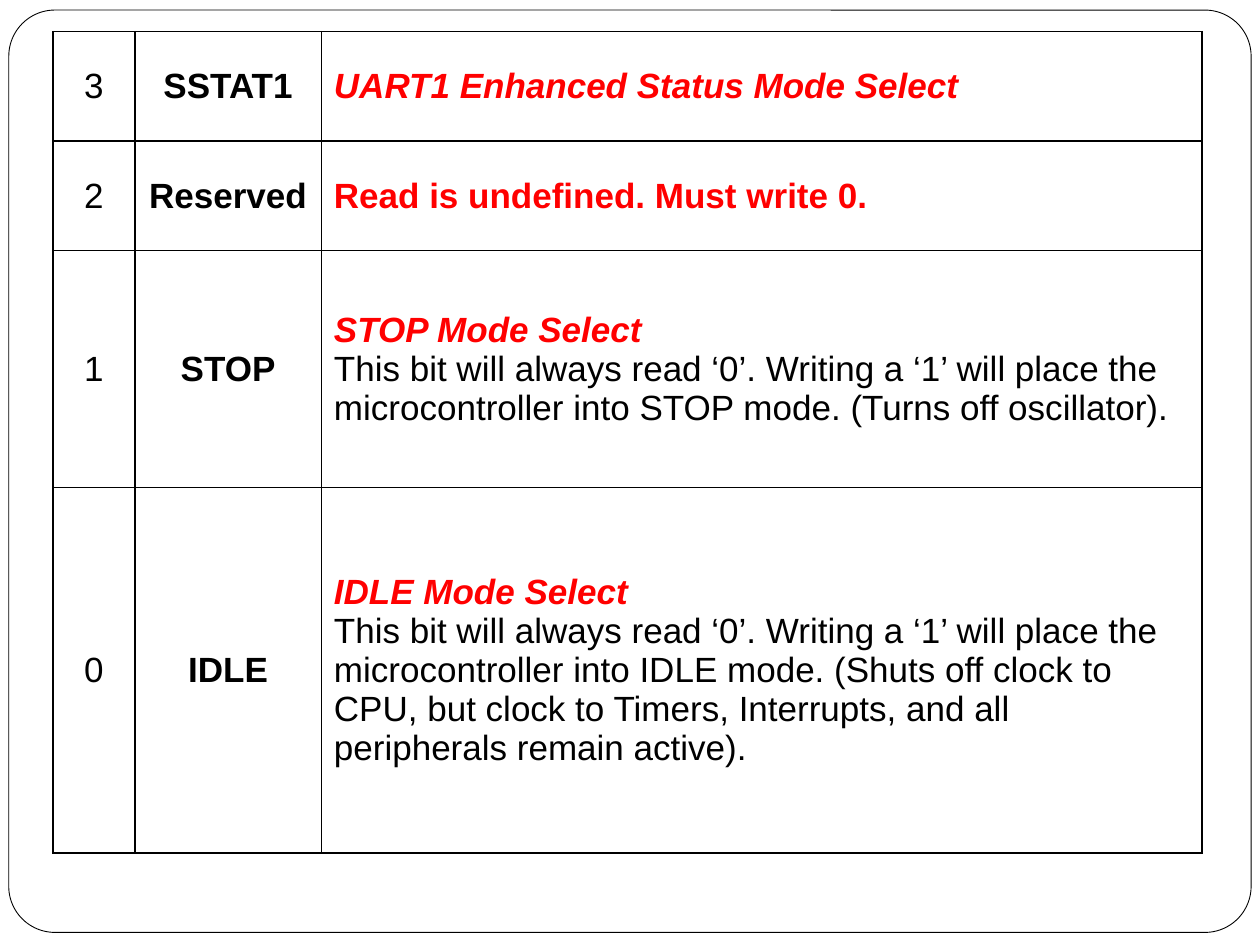
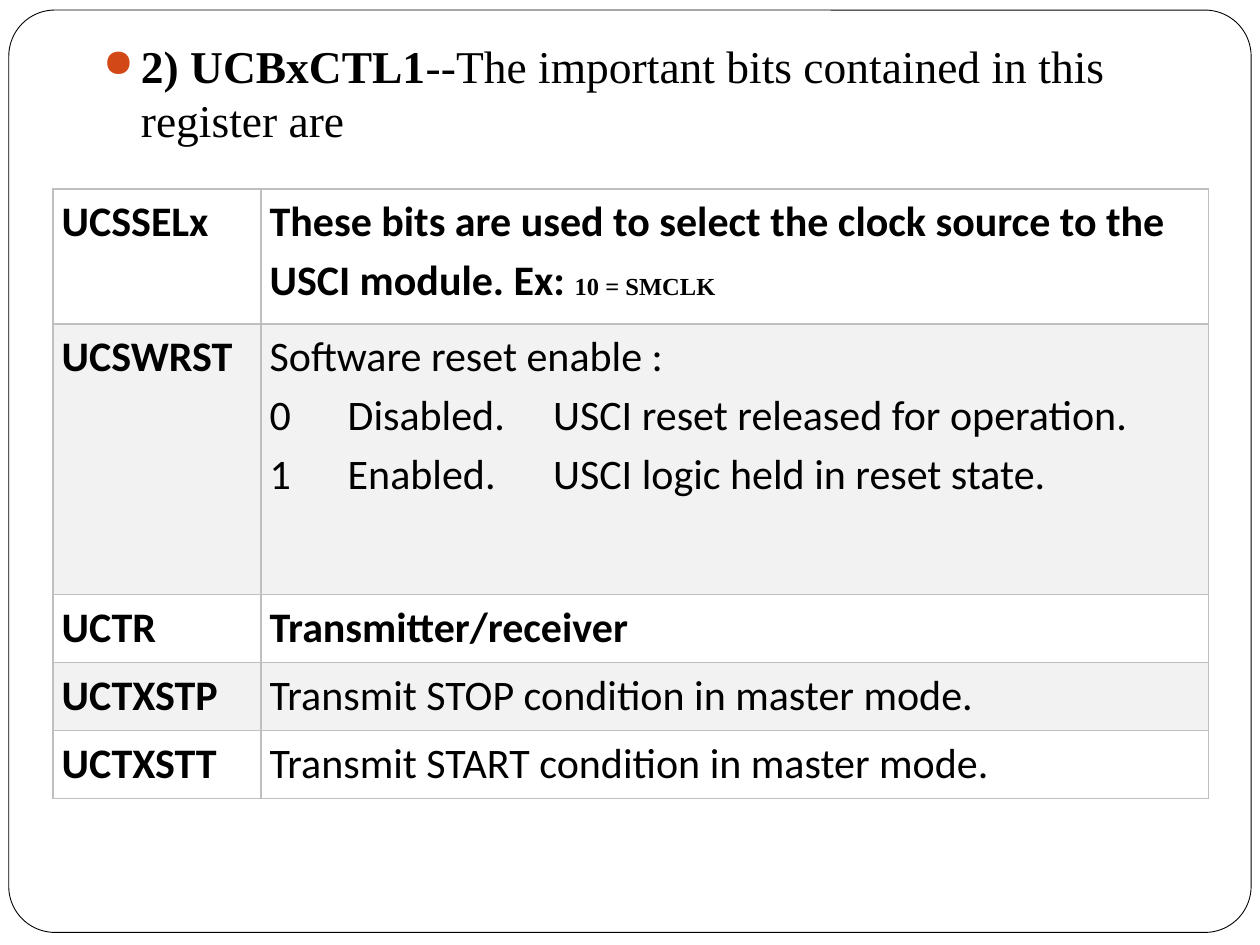
import pptx
import pptx.dml.color
import pptx.enum.shapes
import pptx.enum.text
import pptx.oxml.ns
import pptx.util
from lxml import etree

Inches = pptx.util.Inches
Pt = pptx.util.Pt
ALIGN = pptx.enum.text.PP_ALIGN
ANCHOR = pptx.enum.text.MSO_ANCHOR

COLORS = {
    "white": "FFFFFF", "black": "000000", "red": "FF0000",
    "bullet": "D34817", "grid": "BFBFBF", "band": "F2F2F2",
}

# Content: a cell is a list of paragraphs, a paragraph a list of (text, format)
BOLD = {"bold": True}
RED = {"bold": True, "color": "red"}
RED_ITALIC = {**RED, "italic": True}

MODE_BITS = [
    ("3", "SSTAT1", [[("UART1 Enhanced Status Mode Select", RED_ITALIC)]]),
    ("2", "Reserved", [[("Read is undefined. Must write 0.", RED)]]),
    ("1", "STOP", [
        [("STOP Mode Select", RED_ITALIC)],
        [("This bit will always read ‘0’. Writing a ‘1’ will place the microcontroller "
          "into STOP mode. (Turns off oscillator).", {})],
    ]),
    ("0", "IDLE", [
        [("IDLE Mode Select", RED_ITALIC)],
        [("This bit will always read ‘0’. Writing a ‘1’ will place the microcontroller "
          "into IDLE mode. (Shuts off clock to CPU, but clock to Timers, Interrupts, "
          "and all peripherals remain active).", {})],
    ]),
]
MODE_COLUMNS = [0.65, 1.48, 6.99]
MODE_ROWS = [0.87, 0.87, 1.88, 2.9]

REGISTER_HEADING = [
    ("2) UCBxCTL1", BOLD),
    ("--The important bits contained in this register are", {}),
]
REGISTER_BITS = [
    ("UCSSELx", [[
        ("These bits are used to select the clock source to the USCI module. Ex: ", BOLD),
        ("10 = SMCLK", {"bold": True, "size": 14, "font": "Times New Roman"}),
    ]]),
    ("UCSWRST", [
        [("Software reset enable :", {})],
        [("0\tDisabled.\tUSCI reset released for operation.", {})],
        [("1\tEnabled.\tUSCI logic held in reset state.", {})],
    ]),
    ("UCTR", [[("Transmitter/receiver", BOLD)]]),
    ("UCTXSTP", [[("Transmit STOP condition in master mode.", {})]]),
    ("UCTXSTT", [[("Transmit START condition in master mode.", {})]]),
]
REGISTER_COLUMNS = [1.65, 7.52]
REGISTER_ROWS = [1.07, 2.15, 0.54, 0.54, 0.54]
RESET_TABS = [0.62, 2.25]


# Shared helpers
def rgb(name):
    return pptx.dml.color.RGBColor.from_string(COLORS[name])


def add_element(parent, tag, **attributes):
    element = etree.SubElement(parent, pptx.oxml.ns.qn(tag))
    for name, value in attributes.items():
        element.set(name, str(value))
    return element


def add_run(paragraph, text, font="Arial", size=20, color="black", bold=False, italic=False):
    run = paragraph.add_run()
    run.text = text
    run.font.name = font
    run.font.size = Pt(size)
    run.font.bold = bold
    run.font.italic = italic
    run.font.color.rgb = rgb(color)


def fill_text(text_frame, paragraphs, **defaults):
    for index, runs in enumerate(paragraphs):
        paragraph = text_frame.paragraphs[0] if index == 0 else text_frame.add_paragraph()
        for text, text_format in runs:
            add_run(paragraph, text, **{**defaults, **text_format})


def set_borders(cell, color):
    properties = cell._tc.get_or_add_tcPr()
    for index, side in enumerate(("a:lnL", "a:lnR", "a:lnT", "a:lnB")):
        line = add_element(properties, side, w=Pt(1))
        add_element(add_element(line, "a:solidFill"), "a:srgbClr", val=COLORS[color])
        properties.insert(index, line)


def add_grid(slide, left, top, columns, rows, border, margins, anchor):
    table = slide.shapes.add_table(
        len(rows), len(columns), Inches(left), Inches(top),
        Inches(sum(columns)), Inches(sum(rows))).table
    table.first_row = False
    table.horz_banding = False
    for column, width in zip(table.columns, columns):
        column.width = Inches(width)
    for row, height in zip(table.rows, rows):
        row.height = Inches(height)
    for cell in table.iter_cells():
        cell.margin_left = cell.margin_right = Inches(margins[0])
        cell.margin_top = cell.margin_bottom = Inches(margins[1])
        cell.vertical_anchor = anchor
        cell.fill.solid()
        cell.fill.fore_color.rgb = rgb("white")
        set_borders(cell, border)
    return table


def add_framed_slide(presentation):
    slide = presentation.slides.add_slide(presentation.slide_layouts[6])
    frame = slide.shapes.add_shape(
        pptx.enum.shapes.MSO_SHAPE.ROUNDED_RECTANGLE,
        Inches(0.07), Inches(0.08), Inches(9.86), Inches(7.32))
    frame.adjustments[0] = 0.05
    frame.shadow.inherit = False
    frame.fill.solid()
    frame.fill.fore_color.rgb = rgb("white")
    frame.line.color.rgb = rgb("black")
    frame.line.width = Pt(0.5)
    return slide


# Slide 1: mode bits
def build_mode_slide(presentation):
    slide = add_framed_slide(presentation)
    table = add_grid(slide, 0.42, 0.25, MODE_COLUMNS, MODE_ROWS, "black",
                     (0.1, 0.1), ANCHOR.MIDDLE)
    for row, (bit, name, description) in enumerate(MODE_BITS):
        cells = [[[(bit, {})]], [[(name, BOLD)]], description]
        for column, paragraphs in enumerate(cells):
            text_frame = table.cell(row, column).text_frame
            fill_text(text_frame, paragraphs)
            if column < 2:
                text_frame.paragraphs[0].alignment = ALIGN.CENTER


# Slide 2: register bits
def add_heading(slide):
    box = slide.shapes.add_textbox(Inches(0.72), Inches(0.25), Inches(8.2), Inches(1.2))
    box.text_frame.word_wrap = True
    fill_text(box.text_frame, [REGISTER_HEADING], font="Times New Roman", size=26)
    paragraph = box.text_frame.paragraphs[0]
    paragraph.space_before = Pt(5.8)
    properties = paragraph._p.get_or_add_pPr()
    properties.set("marL", str(Inches(0.3)))
    properties.set("indent", str(-Inches(0.3)))
    add_element(add_element(properties, "a:buClr"), "a:srgbClr", val=COLORS["bullet"])
    add_element(properties, "a:buSzPct", val=85000)
    add_element(properties, "a:buChar", char="●")


def add_tab_stops(paragraph, positions):
    tabs = add_element(paragraph._p.get_or_add_pPr(), "a:tabLst")
    for position in positions:
        add_element(tabs, "a:tab", pos=Inches(position), algn="l")


def build_register_slide(presentation):
    slide = add_framed_slide(presentation)
    add_heading(slide)
    table = add_grid(slide, 0.42, 1.5, REGISTER_COLUMNS, REGISTER_ROWS, "grid",
                     (0.07, 0), ANCHOR.TOP)
    for row, (name, description) in enumerate(REGISTER_BITS):
        for column, paragraphs in enumerate([[[(name, BOLD)]], description]):
            cell = table.cell(row, column)
            if row % 2:
                cell.fill.fore_color.rgb = rgb("band")
            fill_text(cell.text_frame, paragraphs, font="Calibri", size=24)
            for paragraph in cell.text_frame.paragraphs:
                paragraph.line_spacing = 1.15
                if "\t" in paragraph.text:
                    add_tab_stops(paragraph, RESET_TABS)


def main():
    presentation = pptx.Presentation()
    presentation.slide_width = Inches(10)
    presentation.slide_height = Inches(7.5)
    build_mode_slide(presentation)
    build_register_slide(presentation)
    presentation.save("out.pptx")


if __name__ == "__main__":
    main()
